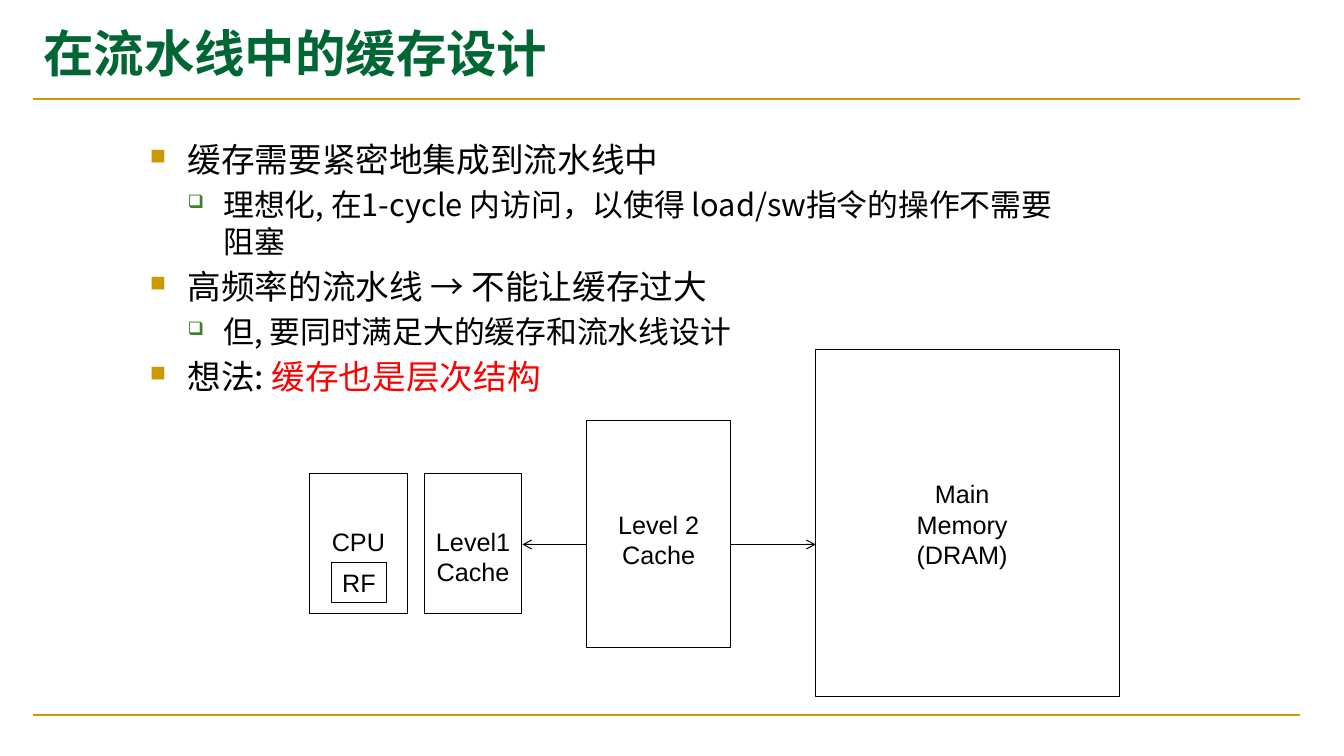
from lxml.etree import SubElement
from pptx import Presentation
from pptx.dml.color import RGBColor
from pptx.enum.shapes import MSO_CONNECTOR, MSO_SHAPE
from pptx.enum.text import MSO_ANCHOR, PP_ALIGN
from pptx.oxml.ns import qn
from pptx.util import Cm, Pt

GOLD = RGBColor(0xCC, 0x99, 0x00)
DARK_GREEN = RGBColor(0x00, 0x66, 0x33)
LEAF_GREEN = RGBColor(0x3B, 0x81, 0x2F)
RED = RGBColor(0xFF, 0x00, 0x00)
BLACK = RGBColor(0x00, 0x00, 0x00)
WHITE = RGBColor(0xFF, 0xFF, 0xFF)

CHINESE_FONT = "Noto Sans CJK SC"
LABEL_FONT = "Arial"

# Per level: bullet, its colour, its size, left margin, hanging indent, text size
LEVELS = [
    ("■", GOLD, 65, Cm(0.95), Cm(0.95), 24),
    ("❑", LEAF_GREEN, 60, Cm(1.85), Cm(0.9), 22),
]

# Each point: level, then its (text, colour) runs
POINTS = [
    (0, [("缓存需要紧密地集成到流水线中", BLACK)]),
    (1, [("理想化, 在1-cycle 内访问，以使得 load/sw指令的操作不需要阻塞", BLACK)]),
    (0, [("高频率的流水线 → 不能让缓存过大", BLACK)]),
    (1, [("但, 要同时满足大的缓存和流水线设计", BLACK)]),
    (0, [("想法: ", BLACK), ("缓存也是层次结构", RED)]),
]


def style_paragraph(paragraph, font_name, size, color, bold=False):
    paragraph.line_spacing = Pt(round(size * 1.2, 1))
    font = paragraph.font
    font.name, font.size, font.bold = font_name, Pt(size), bold
    font.color.rgb = color
    if font_name == CHINESE_FONT:
        defaults = paragraph._p.pPr.find(qn("a:defRPr"))
        SubElement(defaults, qn("a:ea"), typeface=font_name)


def add_bullet(paragraph, char, color, percent, margin, hanging):
    properties = paragraph._p.get_or_add_pPr()
    properties.set("marL", str(margin))
    properties.set("indent", str(-hanging))
    bullet_color = SubElement(properties, qn("a:buClr"))
    SubElement(bullet_color, qn("a:srgbClr"), val=str(color))
    SubElement(properties, qn("a:buSzPct"), val=str(percent * 1000))
    SubElement(properties, qn("a:buChar"), char=char)


def add_text_frame(slide, left, top, width, height):
    box = slide.shapes.add_textbox(Cm(left), Cm(top), Cm(width), Cm(height))
    box.text_frame.word_wrap = True
    return box.text_frame


def add_title(slide, text):
    paragraph = add_text_frame(slide, 0.84, 0.43, 31.9, 1.42).paragraphs[0]
    paragraph.text = text
    style_paragraph(paragraph, CHINESE_FONT, 36, DARK_GREEN, bold=True)


def add_points(slide):
    frame = add_text_frame(slide, 3.53, 3.38, 23.93, 14.43)
    for index, (level, runs) in enumerate(POINTS):
        paragraph = frame.add_paragraph() if index else frame.paragraphs[0]
        paragraph.level = level
        if index:
            paragraph.space_before = Pt(4.6)
        *bullet, size = LEVELS[level]
        add_bullet(paragraph, *bullet)
        style_paragraph(paragraph, CHINESE_FONT, size, BLACK)
        for text, color in runs:
            run = paragraph.add_run()
            run.text = text
            if color != BLACK:
                run.font.color.rgb = color


def write_label(frame, lines, align=PP_ALIGN.CENTER):
    for index, line in enumerate(lines):
        paragraph = frame.add_paragraph() if index else frame.paragraphs[0]
        paragraph.text = line
        paragraph.alignment = align
        style_paragraph(paragraph, LABEL_FONT, 18, BLACK)


def add_label(slide, left, top, width, height, *lines):
    write_label(add_text_frame(slide, left, top, width, height), lines)


def add_block(slide, left, top, width, height, fill=None):
    shape = slide.shapes.add_shape(
        MSO_SHAPE.RECTANGLE, Cm(left), Cm(top), Cm(width), Cm(height))
    shape.shadow.inherit = False
    if fill is None:
        shape.fill.background()
    else:
        shape.fill.solid()
        shape.fill.fore_color.rgb = fill
    shape.line.color.rgb = BLACK
    shape.line.width = Pt(0.75)
    return shape


def add_line(slide, start, end, y, color, width, arrows=False):
    line = slide.shapes.add_connector(
        MSO_CONNECTOR.STRAIGHT, Cm(start), Cm(y), Cm(end), Cm(y))
    line.line.color.rgb = color
    line.line.width = Pt(width)
    if arrows:
        outline = line.line._get_or_add_ln()
        for end_tag in ("a:headEnd", "a:tailEnd"):
            SubElement(outline, qn(end_tag), type="arrow")
    SubElement(line._element.spPr, qn("a:effectLst"))


def add_memory_hierarchy(slide):
    # CPU with its register file
    add_block(slide, 7.8, 11.94, 2.46, 3.53)
    add_label(slide, 7.8, 13.13, 2.46, 1.02, "CPU")
    register_file = add_block(slide, 8.36, 14.17, 1.37, 1.02)
    register_file.text_frame.word_wrap = False
    register_file.text_frame.vertical_anchor = MSO_ANCHOR.MIDDLE
    write_label(register_file.text_frame, ["RF"])

    # Level 1 cache and main memory, joined behind the level 2 cache
    add_block(slide, 10.69, 11.94, 2.46, 3.53)
    add_label(slide, 10.69, 13.13, 2.46, 1.8, "Level1", "Cache")
    add_block(slide, 20.55, 8.81, 7.65, 8.74)
    add_label(slide, 22.83, 11.94, 2.82, 2.57, "Main", "Memory", "(DRAM)")
    add_line(slide, 20.55, 13.16, 13.72, BLACK, 0.75, arrows=True)

    # Level 2 cache
    add_block(slide, 14.78, 10.59, 3.63, 5.74, WHITE)
    add_label(slide, 14.78, 12.7, 3.63, 1.8, "Level 2", "Cache")


def main():
    presentation = Presentation()
    presentation.slide_width, presentation.slide_height = Cm(33.86), Cm(19.05)
    slide = presentation.slides.add_slide(presentation.slide_layouts[6])

    # Rules above and below the content
    for y in (2.49, 18.01):
        add_line(slide, 0.84, 32.74, y, GOLD, 1.5)

    add_title(slide, "在流水线中的缓存设计")
    add_points(slide)
    add_memory_hierarchy(slide)
    presentation.save("out.pptx")


if __name__ == "__main__":
    main()
